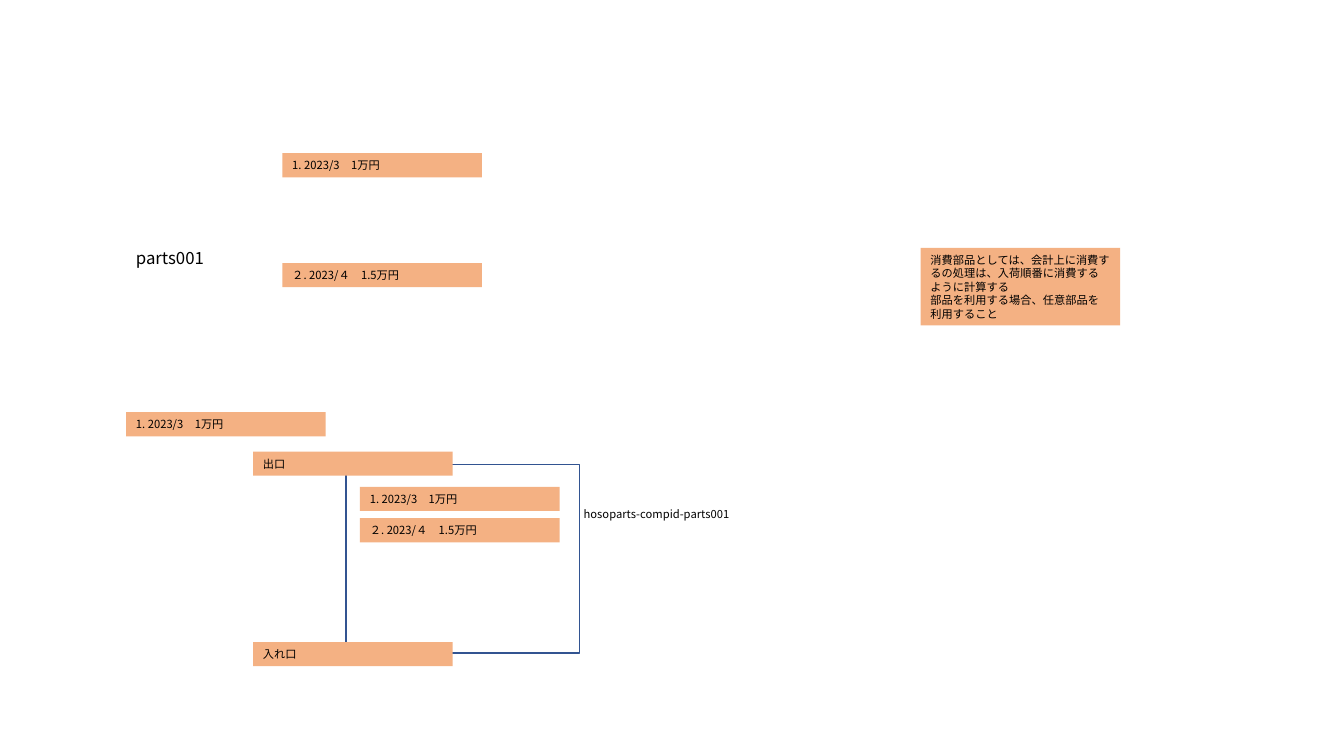
from pptx import Presentation
from pptx.dml.color import RGBColor
from pptx.enum.lang import MSO_LANGUAGE_ID
from pptx.enum.shapes import MSO_SHAPE
from pptx.enum.text import MSO_ANCHOR, MSO_AUTO_SIZE, PP_ALIGN
from pptx.oxml.ns import qn
from pptx.util import Emu, Pt
from lxml.etree import SubElement

COLORS = {"lot": "F4B183", "frame": "325491", "text": "000000"}
FONT = "Noto Sans CJK JP"
FIRST_LOT = "1. 2023/3　1万円"
SECOND_LOT = "２. 2023/４　1.5万円"
NOTE = (
    "消費部品としては、会計上に消費するの処理は、入荷順番に消費するように計算する",
    "部品を利用する場合、任意部品を利用すること",
)
LABELS = [
    (125, 241, 113, 30, 12, "parts001"),
    (569, 498, 183, 24, 8, "hosoparts-compid-parts001"),
]
QUEUED_LOTS = [(357, 483, FIRST_LOT), (357, 514, SECOND_LOT)]
QUEUE_FRAME = (343, 461, 232, 187)
OTHER_LOTS = [
    (280, 152, FIRST_LOT),
    (280, 261, SECOND_LOT),
    (125, 409, FIRST_LOT),
    (251, 637, "入れ口"),
    (251, 448, "出口"),
]
NOTE_PLACE = (913, 246, 198, 77)
LOT_WIDTH, LOT_HEIGHT = 198, 24
LOT_SIZE = 8
LINE_FACTOR = 1.2
SCALE = 9144


def px(*lengths):
    return [Emu(length * SCALE) for length in lengths]


def set_all(target, values):
    for name, value in values.items():
        setattr(target, name, value)


def write(box, lines, size):
    set_all(box.text_frame, {
        "word_wrap": True,
        "auto_size": MSO_AUTO_SIZE.NONE,
        "vertical_anchor": MSO_ANCHOR.MIDDLE,
    })
    para = box.text_frame.paragraphs[0]
    set_all(para, {"alignment": PP_ALIGN.LEFT, "line_spacing": Pt(size * LINE_FACTOR)})
    for index, line in enumerate(lines):
        if index:
            para.add_line_break()
        span = para.add_run()
        span.text = line
        set_all(span.font, {
            "name": FONT,
            "size": Pt(size),
            "language_id": MSO_LANGUAGE_ID.JAPANESE,
        })
        span.font.color.rgb = RGBColor.from_string(COLORS["text"])
        SubElement(span.font._element, qn("a:ea"), typeface=FONT)


def add_rectangle(page, place):
    box = page.shapes.add_shape(MSO_SHAPE.RECTANGLE, *px(*place))
    box.shadow.inherit = False
    return box


def add_filled(page, place, lines):
    box = add_rectangle(page, place)
    box.fill.solid()
    box.fill.fore_color.rgb = RGBColor.from_string(COLORS["lot"])
    box.line.fill.background()
    write(box, lines, LOT_SIZE)


def add_lots(page, lots):
    for left, top, text in lots:
        add_filled(page, (left, top, LOT_WIDTH, LOT_HEIGHT), [text])


def add_frame(page):
    frame = add_rectangle(page, QUEUE_FRAME)
    frame.fill.background()
    frame.line.color.rgb = RGBColor.from_string(COLORS["frame"])
    frame.line.width = Pt(1)


def main():
    deck = Presentation()
    deck.slide_width, deck.slide_height = px(1333, 750)
    page = deck.slides.add_slide(deck.slide_layouts[6])
    for *place, size, text in LABELS:
        write(page.shapes.add_textbox(*px(*place)), [text], size)
    add_lots(page, QUEUED_LOTS)
    add_frame(page)
    add_lots(page, OTHER_LOTS)
    add_filled(page, NOTE_PLACE, NOTE)
    deck.save("out.pptx")


if __name__ == "__main__":
    main()
